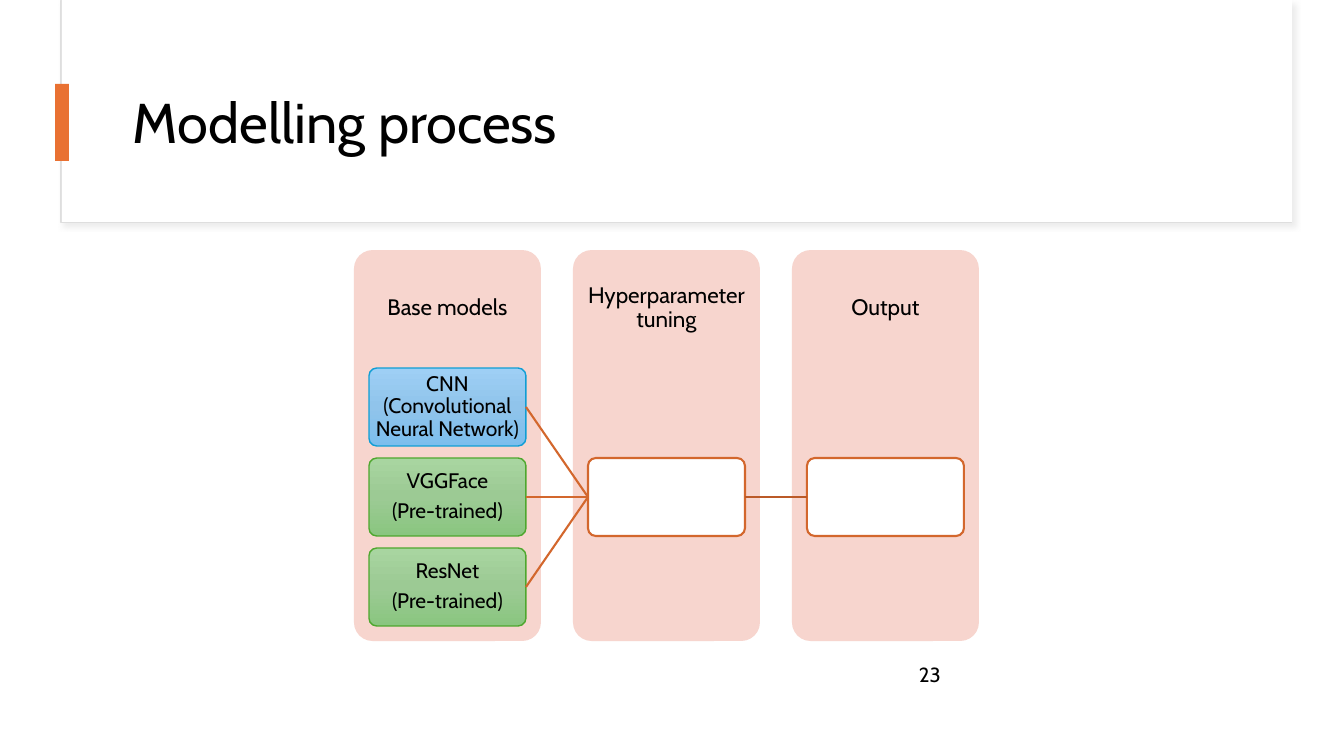
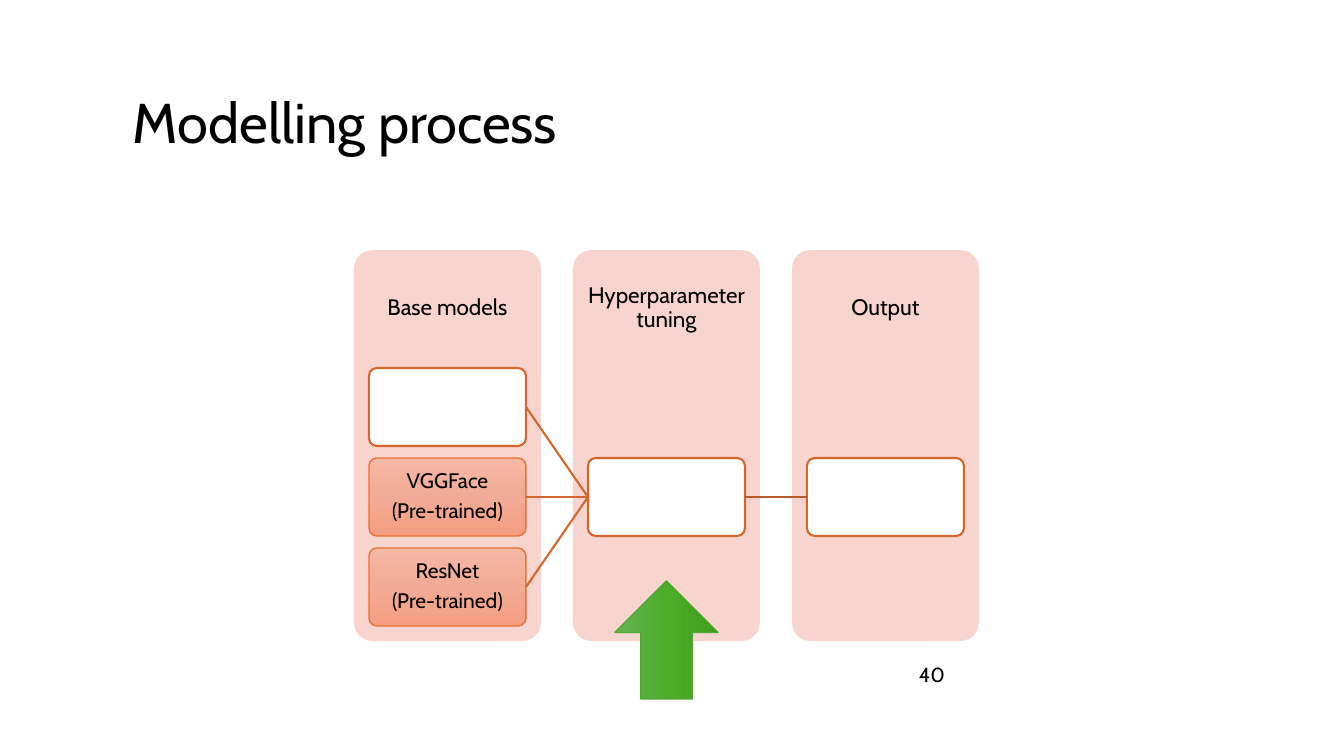
from copy import deepcopy
from lxml.etree import SubElement
from pptx import Presentation
from pptx.dml.color import RGBColor
from pptx.enum.shapes import MSO_CONNECTOR, MSO_SHAPE
from pptx.enum.text import MSO_ANCHOR, PP_ALIGN
from pptx.oxml.ns import qn
from pptx.util import Pt

PX = 914400 / 100.8
FONT = "Cabin"
BLACK, WHITE = "000000", "FFFFFF"
ORANGE, RUST, BROWN = "E97132", "D3672D", "BB5A28"
PINK, GRAY = "F7D5CE", "DEDEDE"
BLUE = (["9ECFF5", "90C4EB", "7CBEED"], "0F9ED5", 1)
GREEN = (["A8D5A0", "9CCA94", "8AC680"], "4EA72E", 1)
CORAL = (["F5B8A5", "F2AB96", "F59E82"], ORANGE, 1)
LEAF = (["66B354", "4BAD28", "409F1E"], "4EA72E", 1)
EMPTY = (WHITE, RUST, 1.5)


def color(code):
    return RGBColor.from_string(code)


def write(shape, text, size=16, align=PP_ALIGN.LEFT, anchor=MSO_ANCHOR.MIDDLE,
          inset=None, lead=0.9, gap=0):
    frame = shape.text_frame
    frame.word_wrap = True
    frame.vertical_anchor = anchor
    if inset is not None:
        frame.margin_left = frame.margin_right = round(inset * PX)
        frame.margin_top = frame.margin_bottom = round(inset * PX)
    for i, line in enumerate(text.split("\n")):
        para = frame.paragraphs[0] if i == 0 else frame.add_paragraph()
        para.alignment = align
        para.line_spacing = lead
        if i:
            para.space_before = Pt(gap)
        run = para.add_run()
        run.text = line
        run.font.name = FONT
        run.font.size = Pt(size)
        run.font.color.rgb = color(code=BLACK)


def draw(shapes, kind, box, fill, edge=None, width=1, angle=270):
    shape = shapes.add_shape(kind, *[round(n * PX) for n in box])
    shape.shadow.inherit = False
    if isinstance(fill, str):
        shape.fill.solid()
        shape.fill.fore_color.rgb = color(fill)
    else:
        shape.fill.gradient()
        shape.fill.gradient_angle = angle
        first = shape._element.spPr.find(".//" + qn("a:gs"))
        first.addnext(deepcopy(first))
        for i, stop in enumerate(shape.fill.gradient_stops):
            stop.position = i / 2
            stop.color.rgb = color(fill[i])
    if edge:
        shape.line.color.rgb = color(edge)
        shape.line.width = Pt(width)
    else:
        shape.line.fill.background()
    if kind == MSO_SHAPE.ROUNDED_RECTANGLE:
        shape.adjustments[0] = 0.1
    return shape


deck = Presentation()
deck.slide_width = round(1344 * PX)
deck.slide_height = round(756 * PX)

RECT, ROUND = MSO_SHAPE.RECTANGLE, MSO_SHAPE.ROUNDED_RECTANGLE
LEFT, TOP, STEP, WIDE, TALL = 354, 250, 219, 187, 391
PAD, ROW, PITCH, HIGH = 15, 368, 90, 78
HEADS = ["Base models", "Hyperparameter tuning", "Output"]
VGG = "VGGFace\n(Pre-trained)"
RES = "ResNet\n(Pre-trained)"
CNN = "CNN (Convolutional Neural Network)"
PAGES = [
    ("23", True, [(CNN, BLUE), (VGG, GREEN), (RES, GREEN)]),
    ("40", False, [("", EMPTY), (VGG, CORAL), (RES, CORAL)]),
]

for number, framed, models in PAGES:
    shapes = deck.slides.add_slide(deck.slide_layouts[6]).shapes

    if framed:
        card = draw(shapes, RECT, (61, 1, 1231, 222), WHITE, GRAY, 0.75)
        effects = card._element.spPr.find(qn("a:effectLst"))
        shade = SubElement(effects, qn("a:outerShdw"), blurRad=str(Pt(4)),
                           dist=str(Pt(3)), dir="2700000", algn="tl")
        tint = SubElement(shade, qn("a:srgbClr"), val="D9D9D9")
        SubElement(tint, qn("a:alpha"), val="50000")
        draw(shapes, RECT, (62, 0, 1230, 222), WHITE)
        draw(shapes, RECT, (55, 84, 14, 77), ORANGE)

    title = shapes.add_textbox(*[round(n * PX) for n in (123, 60, 1121, 130)])
    write(title, "Modelling process", size=40)

    for i, head in enumerate(HEADS):
        x = LEFT + i * STEP
        draw(shapes, ROUND, (x, TOP, WIDE, TALL), PINK)
        label = shapes.add_textbox(*[round(n * PX) for n in (x, TOP, WIDE, 117)])
        write(label, head, align=PP_ALIGN.CENTER, inset=12)

    cells = [(0, 0, *models[0]), (0, 1, *models[1]), (0, 2, *models[2]),
             (1, 1, "", EMPTY), (2, 1, "", EMPTY)]
    nodes = []
    for col, row, text, style in cells:
        box = (LEFT + PAD + col * STEP, ROW + row * PITCH, WIDE - 2 * PAD, HIGH)
        node = draw(shapes, ROUND, box, *style)
        if text:
            write(node, text, size=15, align=PP_ALIGN.CENTER, inset=1, gap=5)
        nodes.append(node)

    *bases, tuning, output = nodes
    links = [(base, tuning, RUST) for base in bases] + [(tuning, output, BROWN)]
    for start, end, ink in links:
        link = shapes.add_connector(MSO_CONNECTOR.STRAIGHT, 0, 0, 0, 0)
        link.begin_connect(start, 3)
        link.end_connect(end, 1)
        link.line.color.rgb = color(ink)
        link.line.width = Pt(1.5)
        SubElement(link._element.spPr, qn("a:effectLst"))

    page = shapes.add_textbox(*[round(n * PX) for n in (909, 657, 247, 33)])
    write(page, number, size=14.6, anchor=MSO_ANCHOR.TOP, lead=1)

    if not framed:
        draw(shapes, MSO_SHAPE.UP_ARROW, (615, 581, 103, 118), *LEAF, angle=0)

deck.save("out.pptx")
